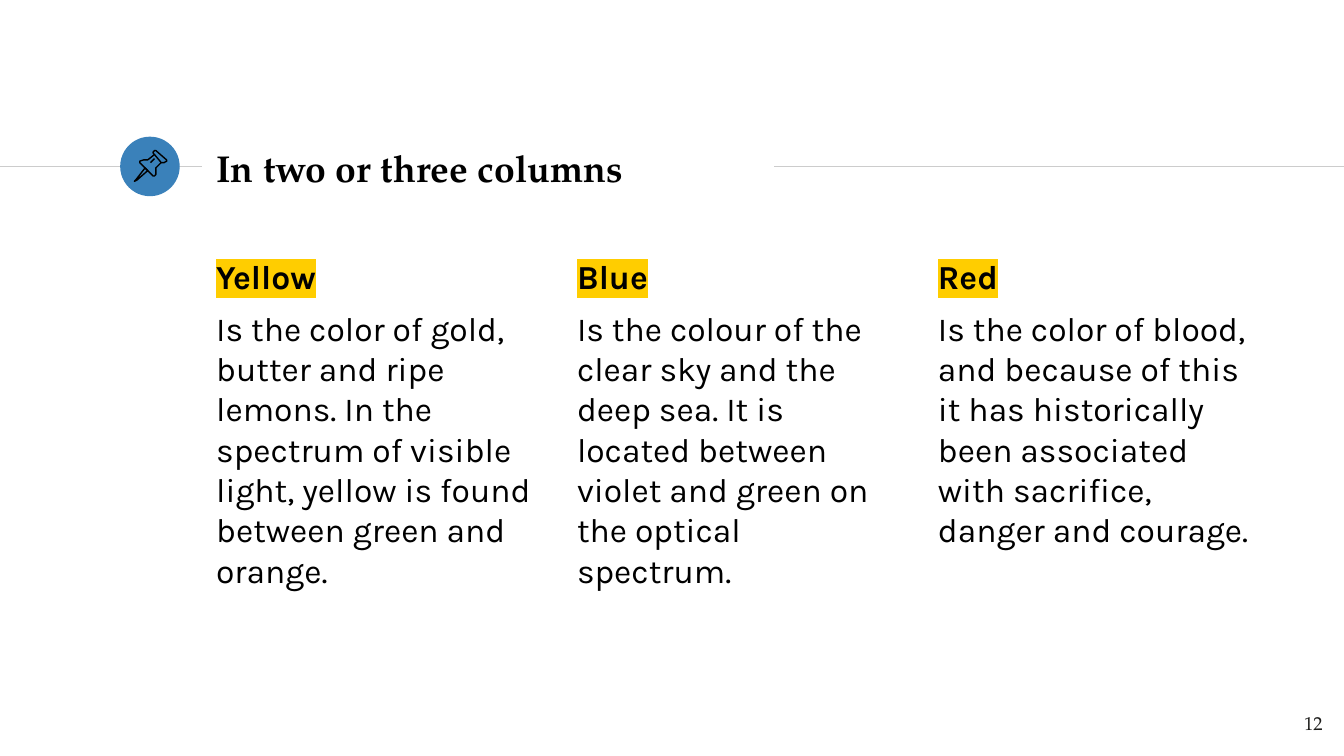
import pptx
import pptx.dml.color
import pptx.enum.shapes
import pptx.enum.text
import pptx.oxml
import pptx.oxml.ns
import pptx.util
import lxml.etree

COLUMNS, ROWS = 100, 56.25
SERIF, SANS = "TeX Gyre Pagella", "Karla"
BLACK, INK, GREY, BLUE, YELLOW = "000000", "1D1D1B", "CCCCCC", "3A81BA", "FFCD00"


def color(value):
    return pptx.dml.color.RGBColor.from_string(value)


class SlideBuilder:
    def __init__(self, deck):
        self.column = deck.slide_width / COLUMNS
        self.row = deck.slide_height / ROWS
        self.page = deck.slides.add_slide(deck.slide_layouts[5])
        self.shapes = self.page.shapes

    def point(self, column, row):
        return round(column * self.column), round(row * self.row)

    def area(self, left, top, width, height):
        return *self.point(left, top), *self.point(width, height)

    def rule(self, start, end, row):
        line = self.shapes.add_connector(
            pptx.enum.shapes.MSO_CONNECTOR.STRAIGHT,
            *self.point(start, row), *self.point(end, row))
        line.line.color.rgb = color(GREY)
        line.line.width = pptx.util.Pt(0.75)
        properties = line._element.spPr
        lxml.etree.SubElement(properties, pptx.oxml.ns.qn("a:effectLst"))

    def disc(self, *place):
        shape = self.shapes.add_shape(
            pptx.enum.shapes.MSO_SHAPE.OVAL, *self.area(*place))
        shape.shadow.inherit = False
        shape.fill.solid()
        shape.fill.fore_color.rgb = color(BLUE)
        shape.line.fill.background()

    def outline(self, points, closed):
        corners = [self.point(*corner) for corner in points]
        builder = self.shapes.build_freeform(*corners[0])
        builder.add_line_segments(corners[1:], close=closed)
        shape = builder.convert_to_shape()
        shape.shadow.inherit = False
        shape.fill.background()
        shape.line.color.rgb = color(BLACK)
        shape.line.width = pptx.util.Pt(0.75)

    def frame(self, box, anchor=pptx.enum.text.MSO_ANCHOR.TOP):
        frame = box.text_frame
        frame.word_wrap = True
        frame.auto_size = pptx.enum.text.MSO_AUTO_SIZE.NONE
        frame.vertical_anchor = anchor
        inset = pptx.util.Inches(0.1)
        frame.margin_left = frame.margin_right = inset
        frame.margin_top = frame.margin_bottom = inset
        return frame

    def span(self, para, text, size, font, ink=BLACK, bold=False, marker=None):
        span = para.add_run()
        span.text = text
        span.font.size = pptx.util.Pt(size)
        span.font.name = font
        span.font.bold = bold
        span.font.color.rgb = color(ink)
        if marker:
            highlight = pptx.oxml.parse_xml(
                f'<a:highlight {pptx.oxml.ns.nsdecls("a")}>'
                f'<a:srgbClr val="{marker}"/></a:highlight>')
            span.font._element.find(pptx.oxml.ns.qn("a:latin")).addprevious(highlight)

    def title(self, text, *place):
        box = self.shapes.title
        box.left, box.top, box.width, box.height = self.area(*place)
        para = self.frame(box, pptx.enum.text.MSO_ANCHOR.MIDDLE).paragraphs[0]
        para.alignment = pptx.enum.text.PP_ALIGN.LEFT
        self.span(para, text, 20, SERIF, bold=True)

    def text_column(self, heading, body, *place):
        frame = self.frame(self.shapes.add_textbox(*self.area(*place)))
        head, rest = frame.paragraphs[0], frame.add_paragraph()
        head.space_before = rest.space_before = pptx.util.Pt(6)
        self.span(head, heading, 18, SANS, bold=True, marker=YELLOW)
        self.span(rest, body, 18, SANS)

    def page_number(self, text, *place):
        para = self.frame(self.shapes.add_textbox(*self.area(*place))).paragraphs[0]
        para.alignment = pptx.enum.text.PP_ALIGN.RIGHT
        self.span(para, text, 10, SERIF, ink=INK)


TEXT_COLUMNS = [
    ("Yellow", "Is the color of gold, butter and ripe lemons. In the spectrum of "
               "visible light, yellow is found between green and orange."),
    ("Blue", "Is the colour of the clear sky and the deep sea. It is located "
             "between violet and green on the optical spectrum."),
    ("Red", "Is the color of blood, and because of this it has historically been "
            "associated with sacrifice, danger and courage."),
]

PIN_NEEDLE = [(10.8, 12.5), (10.1, 13.4), (10, 13.5), (10.2, 13.4), (11, 12.7)]
PIN_HEAD = [(11.5, 11.5), (12, 12.1), (12.2, 12.1), (12.4, 12), (12.4, 11.9),
            (11.6, 11.2), (11.5, 11.2), (11.4, 11.3), (11.4, 11.4)]
PIN_BODY = [(11.5, 11.5), (11, 11.9), (10.7, 11.9), (10.4, 12), (10.4, 12.1),
            (11.4, 13.1), (11.5, 13.1), (11.6, 13), (11.6, 12.5), (12, 12.1)]
PIN_SHINE = [(11.2, 12.1), (11.5, 11.8)]


def main():
    deck = pptx.Presentation()
    deck.slide_width = pptx.util.Inches(10)
    deck.slide_height = deck.slide_width * 9 // 16
    slide = SlideBuilder(deck)
    slide.rule(0, 15, 12.4)
    slide.disc(8.94, 10.17, 4.43, 4.43)
    slide.rule(57.6, COLUMNS, 12.4)
    slide.title("In two or three columns", 15.1, 10.1, 42.4, 4.8)
    for index, (heading, body) in enumerate(TEXT_COLUMNS):
        slide.text_column(heading, body, 15.1 + 26.85 * index, 18.06, 25.5, 34.1)
    for points, closed in [(PIN_NEEDLE, True), (PIN_HEAD, True),
                           (PIN_BODY, False), (PIN_SHINE, False)]:
        slide.outline(points, closed)
    slide.page_number("12", 93.4, 51.95, 6, 4.3)
    deck.save("out.pptx")


if __name__ == "__main__":
    main()
